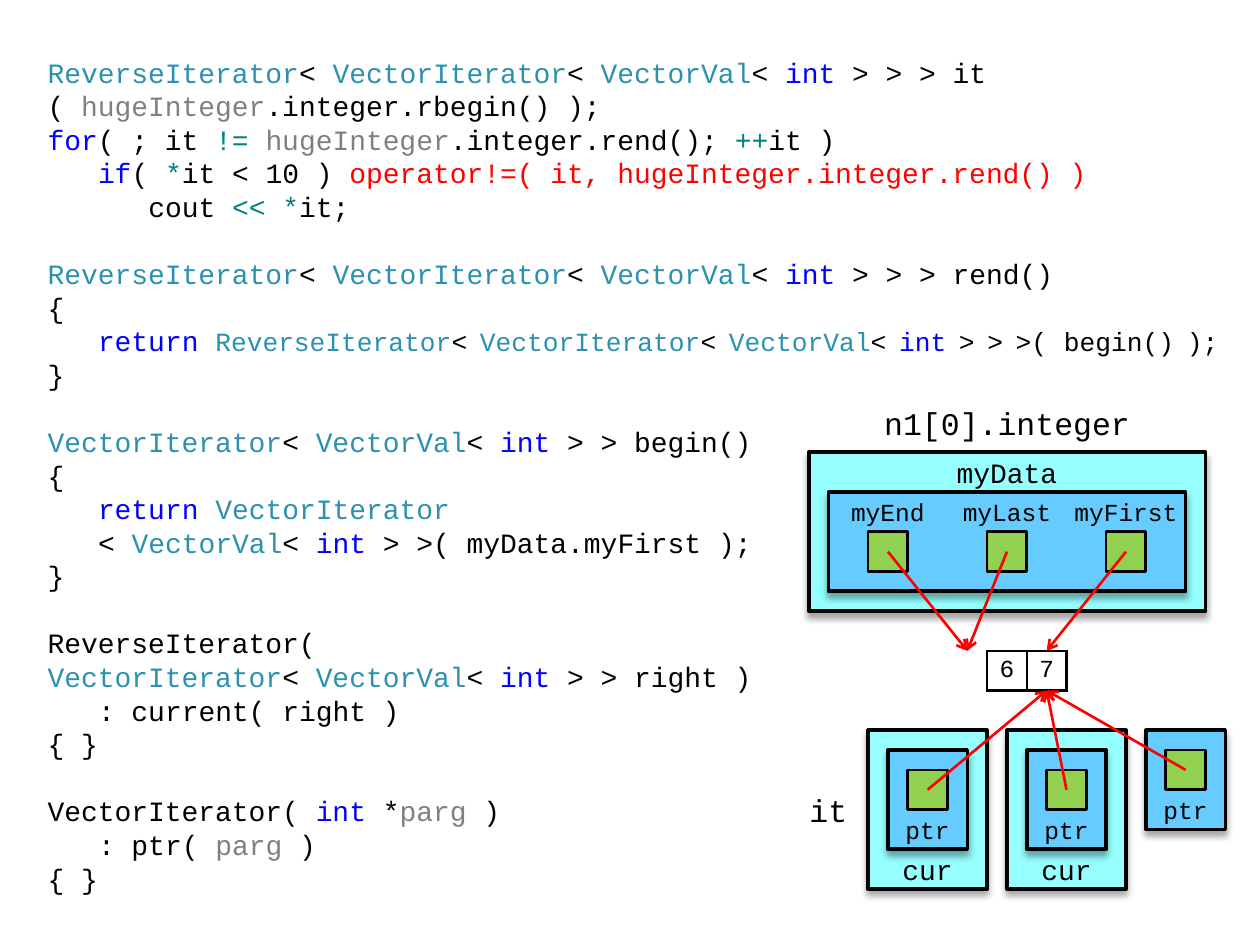
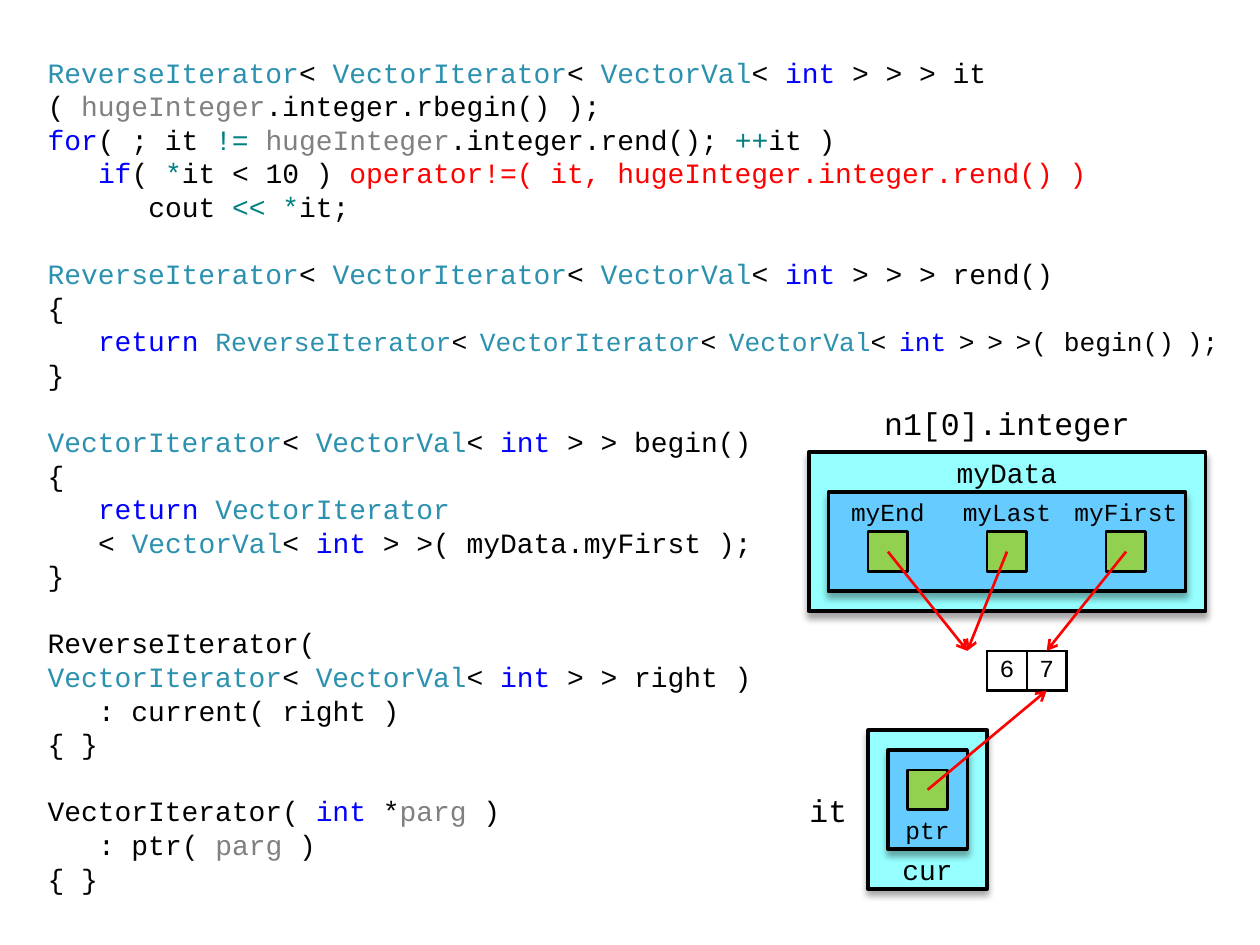
import pptx
import pptx.util
import pptx.oxml
import pptx.oxml.ns
import pptx.dml.color
import pptx.enum.shapes
import pptx.enum.text

Pt = pptx.util.Pt
SHAPE = pptx.enum.shapes.MSO_SHAPE
ALIGN = pptx.enum.text.PP_ALIGN
ANCHOR = pptx.enum.text.MSO_ANCHOR

COLOURS = {
    "black": "000000", "type": "2B91AF", "keyword": "0000FF", "name": "808080",
    "operator": "008080", "note": "FF0000", "arrow": "FF0000",
    "container": "96FFFF", "iterator": "66CCFF", "pointer": "92D050",
}
FONT = "Courier New"
CODE_SIZE = 16
CODE_PITCH = 19.2
CHAR_WIDTH = 9.6
UNIT = 11.34                    # grid step of the memory diagram
CODE_BOX = (20.16, 31.5, 692, 487.5)
DIAGRAM_ORIGIN = (450.7, 224.5)

# Code markup: ~t...~ type, ~k...~ keyword, ~n...~ name, ~o...~ operator, ~r...~ note
MARKS = {"t": "type", "k": "keyword", "n": "name", "o": "operator", "r": "note"}
VECTOR_VAL = "~tVectorVal~< ~kint~ >"
VECTOR_ITERATOR = f"~tVectorIterator~< {VECTOR_VAL} >"
REVERSE_ITERATOR = f"~tReverseIterator~< {VECTOR_ITERATOR} >"

# A line is (indent in characters, pieces); a piece is (markup, word size, space size)
NORMAL, TIGHT = (16, 16), (15, 12)
REND_RETURN = [("~kreturn~ ", *NORMAL), (f"{REVERSE_ITERATOR}(", *TIGHT),
               (" ", *NORMAL), ("begin() );", *TIGHT)]


def line(indent, markup):
    return indent, [(markup, *NORMAL)]


CODE_BLOCKS = [
    [line(0, f"{REVERSE_ITERATOR} it ( ~nhugeInteger~.integer.rbegin() );"),
     line(0, "~kfor~( ; it ~o!= ~~nhugeInteger~.integer.rend(); ~o++~it )"),
     line(3, "~kif~( ~o*~it < 10 )~r operator!=( it, hugeInteger.integer.rend() )~"),
     line(6, "cout ~o<< *~it;")],
    [line(0, f"{REVERSE_ITERATOR} rend()"),
     line(0, "{"),
     (3, REND_RETURN),
     line(0, "}")],
    [line(0, f"{VECTOR_ITERATOR} begin()"),
     line(0, "{"),
     line(3, "~kreturn ~~tVectorIterator~"),
     line(3, f"< {VECTOR_VAL} >( myData.myFirst );"),
     line(0, "}")],
    [line(0, "ReverseIterator("),
     line(0, f"{VECTOR_ITERATOR} right )"),
     line(3, ": current( right )"),
     line(0, "{ }")],
    [line(0, "VectorIterator( ~kint~ *~nparg~ )"),
     line(3, ": ptr( ~nparg~ )"),
     line(0, "{ }")],
]


def rgb(colour):
    return pptx.dml.color.RGBColor.from_string(COLOURS[colour])


def add_xml(parent, xml):
    head, tail = xml.split(">", 1) if not xml.endswith("/>") or xml.count("<") > 1 else (xml[:-2], None)
    declared = f"{head} {pptx.oxml.ns.nsdecls('a')}"
    parent.append(pptx.oxml.parse_xml(f"{declared}/>" if tail is None else f"{declared}>{tail}"))


def add_span(para, text, size=CODE_SIZE, colour="black"):
    span = para.add_run()
    span.text = text
    span.font.name = FONT
    span.font.size = Pt(size)
    span.font.color.rgb = rgb(colour)


def clear_margins(frame, left=0, bottom=0):
    frame.word_wrap = True
    frame.margin_left = frame.margin_right = Pt(left)
    frame.margin_top = 0
    frame.margin_bottom = Pt(bottom)


def add_piece(para, markup, word_size, space_size):
    """Write one piece of code, coloured by its marks."""
    for number, part in enumerate(markup.split("~")):
        if not part:
            continue
        colour, text = (MARKS[part[0]], part[1:]) if number % 2 else ("black", part)
        if word_size == space_size:
            add_span(para, text, word_size, colour)
            continue
        for position, word in enumerate(text.split(" ")):
            if position:
                add_span(para, " ", space_size, colour)
            if word:
                add_span(para, word, word_size, colour)


def add_code(page, box):
    frame = page.shapes.add_textbox(*map(Pt, box)).text_frame
    clear_margins(frame, left=7.2, bottom=3.6)
    para = frame.paragraphs[0]
    for block_number, block in enumerate(CODE_BLOCKS):
        for line_number, (indent, pieces) in enumerate(block):
            if block_number or line_number:
                para = frame.add_paragraph()
            para.line_spacing = Pt(CODE_PITCH)
            para.space_before = para.space_after = Pt(0)
            para._p.get_or_add_pPr().set("marL", str(Pt(indent * CHAR_WIDTH)))
            for piece in pieces:
                add_piece(para, *piece)
        if block_number < len(CODE_BLOCKS) - 1:
            para.space_after = Pt(CODE_PITCH)


def grid_point(column, row):
    left, top = DIAGRAM_ORIGIN
    return Pt(left + column * UNIT), Pt(top + row * UNIT)


def grid_box(column, row, width, height):
    return *grid_point(column, row), Pt(width * UNIT), Pt(height * UNIT)


def add_panel(page, cells, colour, weight=2, shadow=True):
    kind = SHAPE.FLOWCHART_PROCESS if shadow else SHAPE.RECTANGLE
    panel = page.shapes.add_shape(kind, *grid_box(*cells))
    panel.fill.solid()
    panel.fill.fore_color.rgb = rgb(colour)
    panel.line.color.rgb = rgb("black")
    panel.line.width = Pt(weight)
    panel.shadow.inherit = False
    if shadow:
        effects = panel._element.spPr.find(pptx.oxml.ns.qn("a:effectLst"))
        add_xml(effects, f'<a:outerShdw blurRad="{Pt(4)}" dist="{Pt(3)}" dir="5400000" '
                         'rotWithShape="0"><a:srgbClr val="000000"><a:alpha val="35000"/>'
                         '</a:srgbClr></a:outerShdw>')


def add_label(page, cells, text, size):
    frame = page.shapes.add_textbox(*grid_box(*cells)).text_frame
    clear_margins(frame)
    frame.vertical_anchor = ANCHOR.MIDDLE
    para = frame.paragraphs[0]
    para.alignment = ALIGN.CENTER
    add_span(para, text, size)


def add_pointer(page, column, row):
    """Draw a pointer cell and return its centre on the grid."""
    add_panel(page, (column, row, 2, 2), "pointer", weight=1.5, shadow=False)
    return column + 1, row + 1


def add_arrow(page, start, end):
    arrow = page.shapes.add_connector(pptx.enum.shapes.MSO_CONNECTOR.STRAIGHT,
                                      *grid_point(*start), *grid_point(*end))
    arrow.line.color.rgb = rgb("arrow")
    arrow.line.width = Pt(1.5)
    add_xml(arrow.line._get_or_add_ln(), '<a:tailEnd type="arrow"/>')
    add_xml(arrow._element.spPr, "<a:effectLst/>")


def add_values(page, column, row, values):
    frame = page.shapes.add_table(1, len(values), *grid_box(column, row, 2 * len(values), 2))
    table = frame.table
    table.first_row = table.horz_banding = False
    for cell, value in zip(table.rows[0].cells, values):
        cell.margin_left = cell.margin_right = Pt(4.3)
        cell.margin_top = cell.margin_bottom = Pt(2.8)
        cell.vertical_anchor = ANCHOR.MIDDLE
        para = cell.text_frame.paragraphs[0]
        para.alignment = ALIGN.CENTER
        add_span(para, value, 14)
        for side in ("lnL", "lnR", "lnT", "lnB"):
            add_xml(cell._tc.get_or_add_tcPr(),
                    f'<a:{side} w="{Pt(1.5)}"><a:solidFill><a:srgbClr val="{COLOURS["black"]}"/>'
                    f'</a:solidFill></a:{side}>')
        cell.fill.background()


def add_vector(page, column, row):
    """Draw the vector with its three pointers and stored values."""
    add_panel(page, (column, row, 20, 8), "container", weight=2.25)
    add_label(page, (column + 3, row - 3, 14, 3), "n1[0].integer", 18)
    add_label(page, (column + 6, row, 8, 2), "myData", 16)
    add_panel(page, (column + 1, row + 2, 18, 5), "iterator")
    before_values, last_value = (column + 8, row + 10), (column + 12, row + 10)
    add_values(page, column + 9, row + 10, ["6", "7"])
    targets = {"myEnd": before_values, "myLast": before_values, "myFirst": last_value}
    for number, (name, target) in enumerate(targets.items()):
        left = column + 1 + 6 * number
        add_label(page, (left, row + 2, 6, 2), name, 14)
        add_arrow(page, add_pointer(page, left + 2, row + 4), target)


def add_vector_iterator(page, column, row):
    """Draw an iterator box and return the centre of its pointer."""
    add_panel(page, (column, row, 4, 5), "iterator")
    add_label(page, (column, row + 3, 4, 2), "ptr", 14)
    return add_pointer(page, column + 1, row + 1)


def add_reverse_iterator(page, column, row):
    add_panel(page, (column, row, 6, 8), "container")
    add_label(page, (column + 1, row + 6, 4, 2), "cur", 16)
    return add_vector_iterator(page, column + 1, row + 1)


def add_page(deck, with_temporaries):
    page = deck.slides.add_slide(deck.slide_layouts[6])
    add_code(page, CODE_BOX)
    add_vector(page, 1, 3)
    add_label(page, (0, 19, 4, 4), "it", 18)
    starts = [add_reverse_iterator(page, 4, 17)]
    if with_temporaries:
        starts.append(add_reverse_iterator(page, 11, 17))
        starts.append(add_vector_iterator(page, 18, 17))
    for start in starts:
        add_arrow(page, start, (13, 15))


def main():
    deck = pptx.Presentation()
    deck.slide_width, deck.slide_height = Pt(720), Pt(540)
    for with_temporaries in (True, False):
        add_page(deck, with_temporaries)
    deck.save("out.pptx")


if __name__ == "__main__":
    main()
